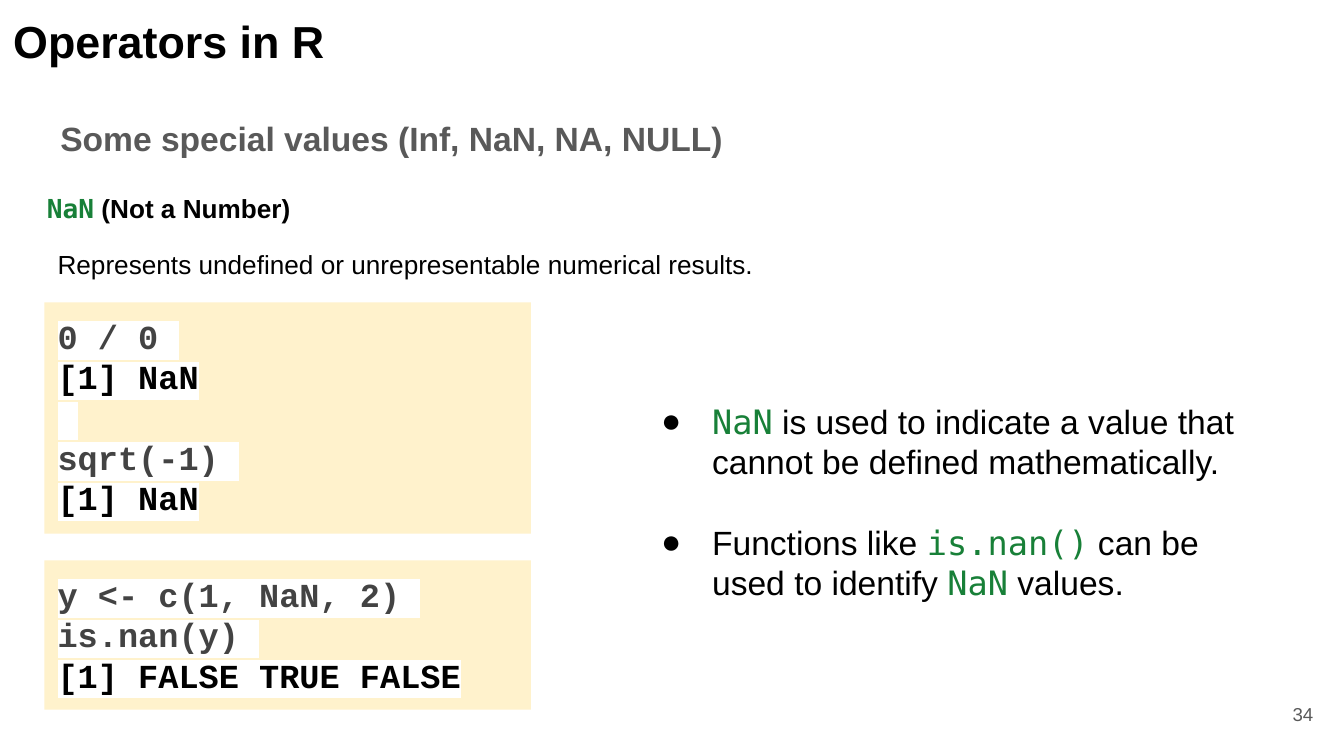
from dataclasses import dataclass

from lxml.etree import SubElement
from pptx import Presentation
from pptx.dml.color import RGBColor
from pptx.enum.shapes import MSO_SHAPE
from pptx.enum.text import MSO_ANCHOR, PP_ALIGN
from pptx.oxml.ns import qn
from pptx.util import Inches, Pt

COLORS = {
    "text": "000000",
    "muted": "595959",
    "keyword": "188038",
    "command": "434343",
    "panel": "FFF2CC",
    "highlight": "FFFFFF",
}
SANS, MONO, CODE = "Arial", "DejaVu Sans Mono", "Courier New"
LINE_PITCH = Pt(21.6)


@dataclass
class Span:
    text: str
    size: float
    color: str = "text"
    font: str = SANS
    bold: bool = False
    highlight: str = ""


@dataclass
class Box:
    left: float
    top: float
    width: float
    height: float


@dataclass
class Label:
    box: Box
    spans: list[Span]


@dataclass
class CodePanel:
    box: Box
    lines: list[tuple[str, str]]  # text and colour name


def add_span(paragraph, span: Span) -> None:
    run = paragraph.add_run()
    run.text = span.text
    font = run.font
    font.size, font.bold, font.name = Pt(span.size), span.bold, span.font
    font.color.rgb = RGBColor.from_string(COLORS[span.color])
    if span.highlight:
        properties = run._r.get_or_add_rPr()
        mark = SubElement(properties, qn("a:highlight"))
        SubElement(mark, qn("a:srgbClr"), val=COLORS[span.highlight])
        properties.find(qn("a:solidFill")).addnext(mark)


def set_frame(frame) -> None:
    frame.word_wrap = True
    frame.vertical_anchor = MSO_ANCHOR.TOP
    frame.margin_left = frame.margin_right = Inches(0.1)
    frame.margin_top = frame.margin_bottom = Inches(0.1)


def add_frame(slide, box: Box):
    area = slide.shapes.add_textbox(
        Inches(box.left), Inches(box.top), Inches(box.width), Inches(box.height))
    set_frame(area.text_frame)
    return area.text_frame


def add_label(slide, label: Label):
    frame = add_frame(slide, label.box)
    for span in label.spans:
        add_span(frame.paragraphs[0], span)
    return frame


def add_code_panel(slide, code: CodePanel) -> None:
    box = code.box
    panel = slide.shapes.add_shape(
        MSO_SHAPE.RECTANGLE,
        Inches(box.left), Inches(box.top), Inches(box.width), Inches(box.height))
    panel.shadow.inherit = False
    panel.fill.solid()
    panel.fill.fore_color.rgb = RGBColor.from_string(COLORS["panel"])
    panel.line.fill.background()
    frame = panel.text_frame
    set_frame(frame)
    for index, (text, color) in enumerate(code.lines):
        paragraph = frame.add_paragraph() if index else frame.paragraphs[0]
        paragraph.alignment = PP_ALIGN.LEFT
        paragraph.line_spacing = LINE_PITCH
        add_span(paragraph, Span(text, 18, color, CODE, True, "highlight"))


def add_bullets(slide, box: Box, bullets: list[list[Span]]) -> None:
    frame = add_frame(slide, box)
    for index, spans in enumerate(bullets):
        paragraph = frame.add_paragraph() if index else frame.paragraphs[0]
        properties = paragraph._p.get_or_add_pPr()
        properties.set("marL", str(Inches(0.5)))
        properties.set("indent", str(Inches(-0.38)))
        bullet_color = SubElement(properties, qn("a:buClr"))
        SubElement(bullet_color, qn("a:srgbClr"), val=COLORS["text"])
        SubElement(properties, qn("a:buFont"), typeface=SANS)
        SubElement(properties, qn("a:buChar"), char="●")
        paragraph.line_spacing = LINE_PITCH
        if index:
            paragraph.space_before = LINE_PITCH
        for span in spans:
            add_span(paragraph, span)


DEFINITIONS = [
    Label(Box(0.25, 1.33, 3.28, 0.44), [
        Span("NaN", 14, "keyword", MONO, True),
        Span(" (Not a Number)", 14, bold=True)]),
    Label(Box(0.33, 1.75, 7.83, 0.44), [
        Span("Represents undefined or unrepresentable numerical results.", 14)]),
]

HEADINGS = [
    Label(Box(0.35, 0.78, 5.51, 0.65), [
        Span("Some special values (Inf, NaN, NA, NULL)", 18, "muted", bold=True)]),
    Label(Box(0, 0, 3.28, 0.61), [Span("Operators in R", 24, bold=True)]),
]

CODE_PANELS = [
    CodePanel(Box(0.33, 2.25, 3.62, 1.72), [
        ("0 / 0 ", "command"),
        ("[1] NaN", "text"),
        (" ", "text"),
        ("sqrt(-1) ", "command"),
        ("[1] NaN", "text")]),
    CodePanel(Box(0.33, 4.17, 3.62, 1.11), [
        ("y <- c(1, NaN, 2) ", "command"),
        ("is.nan(y) ", "command"),
        ("[1] FALSE TRUE FALSE", "text")]),
]

BULLETS = [
    [Span("NaN", 18, "keyword", MONO),
     Span(" is used to indicate a value that cannot be defined mathematically.", 18)],
    [Span("Functions like ", 18),
     Span("is.nan()", 18, "keyword", MONO),
     Span(" can be used to identify ", 18),
     Span("NaN", 18, "keyword", MONO),
     Span(" values.", 18)],
]


def main() -> None:
    deck = Presentation()
    # Widescreen, 16:9
    deck.slide_width = Inches(10)
    deck.slide_height = Inches(10 * 9 / 16)
    slide = deck.slides.add_slide(deck.slide_layouts[6])

    # Term and definition
    for definition in DEFINITIONS:
        add_label(slide, definition)

    # Code examples
    for code in CODE_PANELS:
        add_code_panel(slide, code)

    # Explanation
    add_bullets(slide, Box(4.7, 2.88, 4.75, 1.72), BULLETS)

    # Headings
    for heading in HEADINGS:
        add_label(slide, heading)

    # Page number
    page_number = add_label(
        slide, Label(Box(9.27, 5.1, 0.6, 0.43), [Span("34", 10, "muted")]))
    page_number.vertical_anchor = MSO_ANCHOR.MIDDLE
    page_number.paragraphs[0].alignment = PP_ALIGN.RIGHT

    deck.save("out.pptx")


if __name__ == "__main__":
    main()
